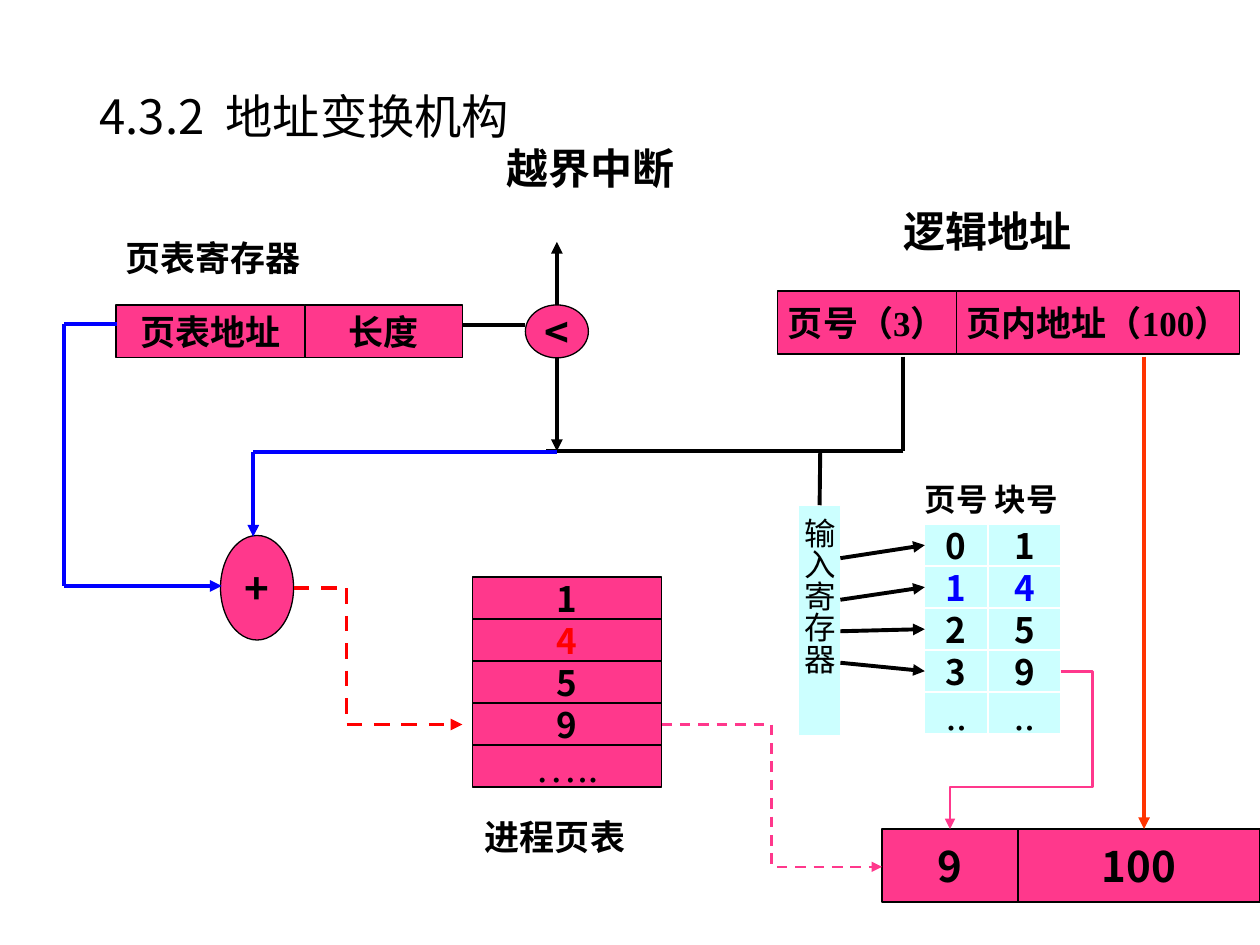
"""Build the slide on paged address translation."""
from itertools import pairwise

from lxml import etree
from pptx import Presentation
from pptx import util as u
from pptx.dml.color import RGBColor
from pptx.enum import dml, shapes, text
from pptx.oxml.ns import qn

SANS, SERIF = "Noto Sans CJK SC", "Times New Roman"
COLORS = {"pink": "FF388C", "cyan": "CCFFFF", "black": "000000", "white": "FFFFFF",
          "blue": "0000FF", "red": "FF0000", "orange": "FF3300"}
TITLE = "4.3.2  地址变换机构"

LABELS = [
    ("逻辑地址", (7.07, 1.58, 1.54, 0.5), 24),
    ("页表寄存器", (0.9, 1.83, 1.6, 0.43), 20),
    ("进程页表", (3.75, 6.42, 1.32, 0.43), 20),
    ("越界中断", (3.92, 1.08, 1.54, 0.5), 24),
    ("页号 块号", (7.24, 3.76, 1.27, 0.4), 18),
]
FIELD_ROWS = [
    ((6.17, 2.31, 0.5), [("页号（3）", 1.42), ("页内地址（100）", 2.25)], 20, SERIF),
    ((0.92, 2.42, 0.42), [("页表地址", 1.5), ("长度", 1.25)], 20, SERIF),
    ((7, 6.58, 0.58), [("9", 1.08), ("100", 1.92)], 24, SANS),
]
COLUMNS = [
    ((3.75, 4.58, 1.5), ["1", "4", "5", "9", "….."], "pink", "black", "red"),
    ((7.34, 4.16, 0.5), ["0", "1", "2", "3", ".."], "cyan", "white", "blue"),
    ((7.84, 4.16, 0.58), ["1", "4", "5", "9", ".."], "cyan", "white", "blue"),
]
ROW_HEIGHT, MARKED_ROW = 1 / 3, 1
OPERATORS = [("<", (4.17, 2.42, 0.5, 0.42)), ("+", (1.75, 4.25, 0.58, 0.83))]
INPUT_REGISTER = ("输入寄存器", (6.34, 4.01, 0.33, 1.83))

ROUTES = [
    ([(7.17, 2.83), (7.17, 3.58), (4.33, 3.58)], "black", False, False),
    ([(4.42, 2.83), (4.42, 3.58)], "black", False, True),
    ([(4.42, 2.42), (4.42, 1.92)], "black", False, True),
    ([(3.67, 2.58), (4.17, 2.58)], "black", False, False),
    ([(6.51, 3.58), (6.51, 4.01)], "black", False, False),
    ([(0.93, 2.57), (0.51, 2.57), (0.51, 4.65), (1.76, 4.65)], "blue", False, True),
    ([(4.42, 3.59), (2.01, 3.59), (2.01, 4.26)], "blue", False, True),
    ([(2.33, 4.67), (2.75, 4.67), (2.75, 5.75), (3.67, 5.75)], "red", True, True),
    ([(9.08, 2.83), (9.08, 6.58)], "orange", False, True),
] + [([(6.67, start), (7.34, end)], "black", False, True)
     for start, end in [(4.43, 4.34), (4.76, 4.68), (5.01, 5.01), (5.26, 5.34)]]
ELBOWS = [
    ((8.42, 5.33), (7.54, 6.58), "bentConnector4", [-28300, 73200], False),
    ((5.25, 5.75), (7, 6.88), "bentConnector3", [50000], True),
]

deck = Presentation()
deck.slide_width, deck.slide_height = u.Inches(10), u.Inches(7.5)
page = deck.slides.add_slide(deck.slide_layouts[5])
rectangles = []


def rgb(name):
    return RGBColor.from_string(COLORS[name])


def write(box, words, size=20, font=SERIF, color="black", bold=True,
          align=text.PP_ALIGN.CENTER, anchor=text.MSO_ANCHOR.MIDDLE, wrap=False):
    frame = box.text_frame
    frame.word_wrap, frame.vertical_anchor = wrap, anchor
    para = frame.paragraphs[0]
    para.alignment = align
    span = para.add_run()
    span.text = words
    span.font.size, span.font.bold, span.font.name = u.Pt(size), bold, font
    span.font.color.rgb = rgb(color)
    etree.SubElement(span.font._element, qn("a:ea")).set("typeface", SANS)
    return para


def add_block(words, place, kind=shapes.MSO_SHAPE.RECTANGLE, fill="pink",
              line="black", **style):
    box = page.shapes.add_shape(kind, *map(u.Inches, place))
    box.shadow.inherit = False
    box.fill.solid()
    box.fill.fore_color.rgb = rgb(fill)
    box.line.color.rgb, box.line.width = rgb(line), u.Pt(0.75)
    write(box, words, **style)
    if kind == shapes.MSO_SHAPE.RECTANGLE:
        rectangles.append(box)
    return box


def side_at(point):
    """Return the rectangle and side whose middle is at the point, if any."""
    x, y = map(u.Inches, point)
    for box in rectangles:
        middle, centre = box.left + box.width / 2, box.top + box.height / 2
        sides = [(middle, box.top), (box.left, centre),
                 (middle, box.top + box.height), (box.left + box.width, centre)]
        for index, (side_x, side_y) in enumerate(sides):
            if max(abs(x - side_x), abs(y - side_y)) < u.Inches(0.03):
                return box, index
    return None


def add_line(start, end, color, dashed=False, arrow=False, width=2.25,
             kind=shapes.MSO_CONNECTOR.STRAIGHT):
    line = page.shapes.add_connector(kind, *map(u.Inches, (*start, *end)))
    line.line.color.rgb, line.line.width = rgb(color), u.Pt(width)
    if dashed:
        line.line.dash_style = dml.MSO_LINE.DASH
    properties = line._element.spPr
    if arrow:
        outline = properties.find(qn("a:ln"))
        etree.SubElement(outline, qn("a:tailEnd")).set("type", "triangle")
    etree.SubElement(properties, qn("a:effectLst"))
    if kind == shapes.MSO_CONNECTOR.STRAIGHT:
        for point, join in ((start, line.begin_connect), (end, line.end_connect)):
            if target := side_at(point):
                join(*target)
    return line


def add_elbow(start, end, preset, bends, dashed):
    line = add_line(start, end, "pink", dashed, True, 1.5, shapes.MSO_CONNECTOR.ELBOW)
    geometry = line._element.spPr.find(qn("a:prstGeom"))
    geometry.set("prst", preset)
    guides = geometry.find(qn("a:avLst"))
    if guides is None:
        guides = etree.SubElement(geometry, qn("a:avLst"))
    for number, bend in enumerate(bends, 1):
        guide = etree.SubElement(guides, qn("a:gd"))
        guide.set("name", f"adj{number}")
        guide.set("fmla", f"val {bend}")


def main():
    title = page.shapes.title
    title.left, title.top, title.width, title.height = map(u.Inches, (0.69, 0.4, 8.62, 1.09))
    heading = write(title, TITLE, size=27, font=SANS, bold=False,
                    align=text.PP_ALIGN.LEFT, wrap=True)
    heading.line_spacing = 0.9

    for words, place, size in LABELS:
        label = page.shapes.add_textbox(*map(u.Inches, place))
        write(label, words, size=size, align=text.PP_ALIGN.LEFT, anchor=text.MSO_ANCHOR.TOP)
        label.text_frame.auto_size = text.MSO_AUTO_SIZE.SHAPE_TO_FIT_TEXT

    for (left, top, height), fields, size, font in FIELD_ROWS:
        for words, width in fields:
            add_block(words, (left, top, width, height), size=size, font=font)
            left += width

    for (left, top, width), entries, fill, line, marked in COLUMNS:
        for row, words in enumerate(entries):
            dots = not words.isdigit()
            add_block(words, (left, top + row * ROW_HEIGHT, width, ROW_HEIGHT),
                      fill=fill, line=line, size=24 if dots else 20,
                      font=SERIF if dots else SANS, bold=not dots,
                      color=marked if row == MARKED_ROW else "black")

    for words, place in OPERATORS:
        add_block(words, place, kind=shapes.MSO_SHAPE.OVAL, size=24, font=SANS)

    register = add_block(*INPUT_REGISTER, fill="cyan", line="white", size=18, bold=False)
    register.text_frame._txBody.bodyPr.set("vert", "eaVert")

    for points, color, dashed, arrow in ROUTES:
        for start, end in pairwise(points):
            add_line(start, end, color, dashed, arrow and end == points[-1])
    for elbow in ELBOWS:
        add_elbow(*elbow)

    deck.save("out.pptx")


if __name__ == "__main__":
    main()
